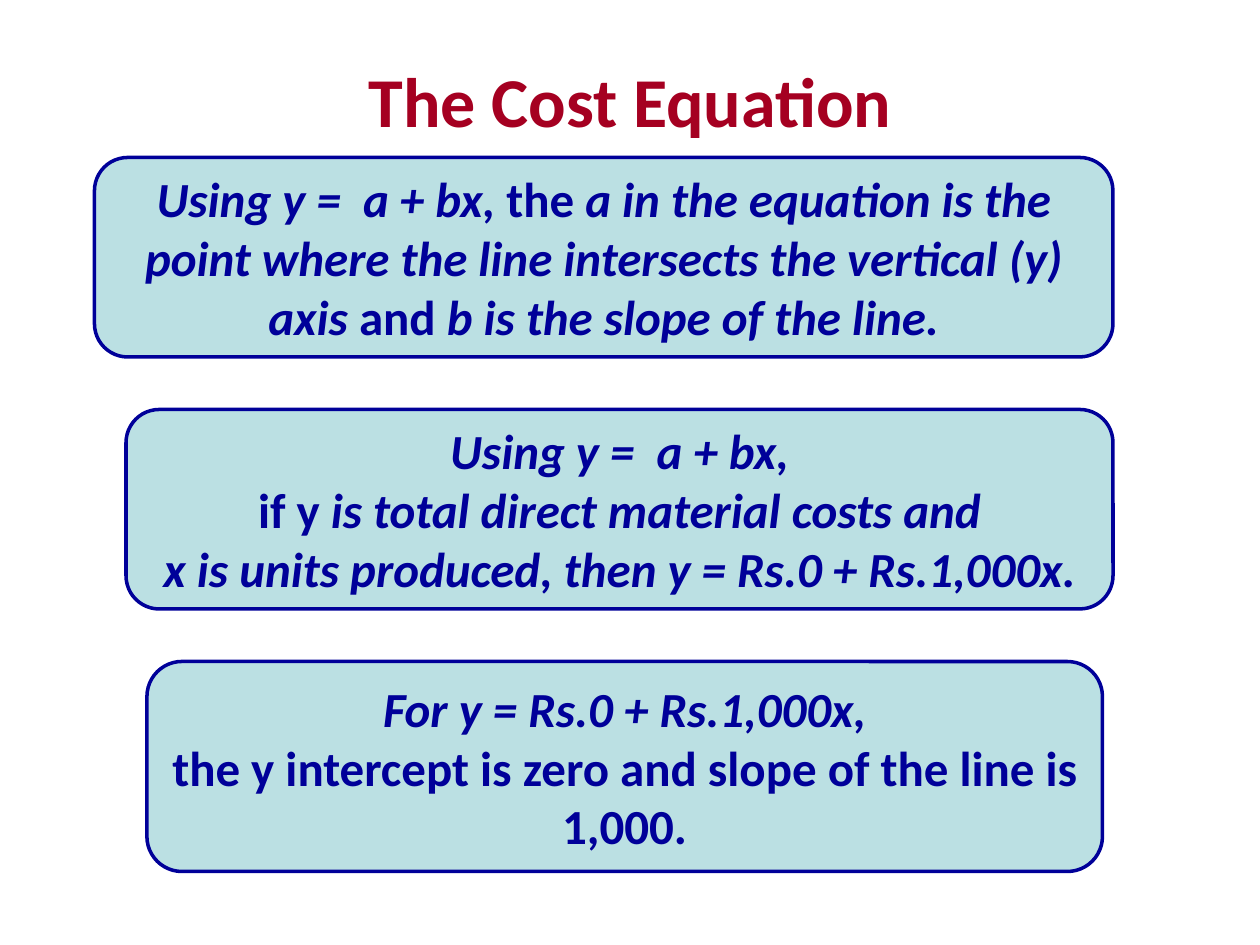
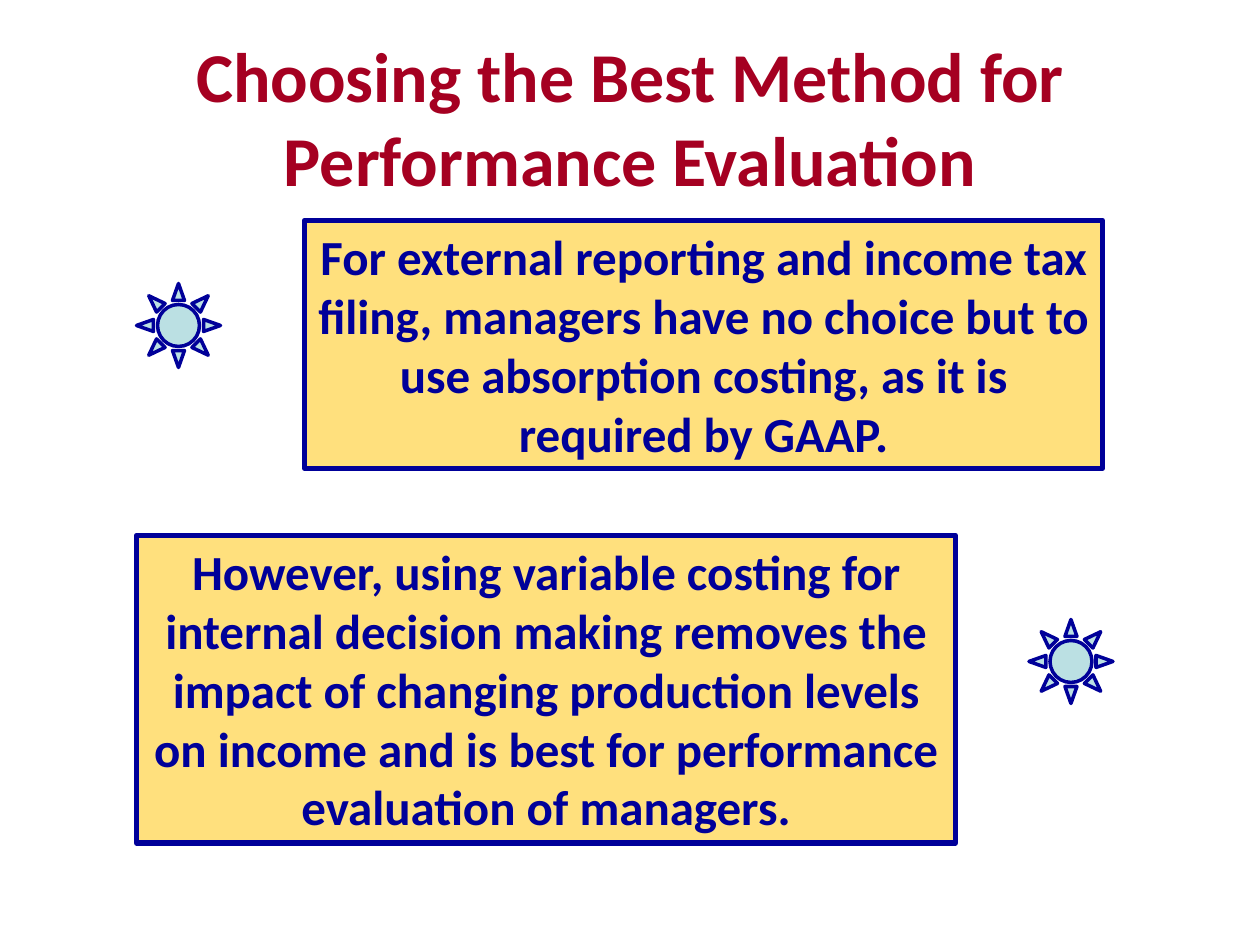
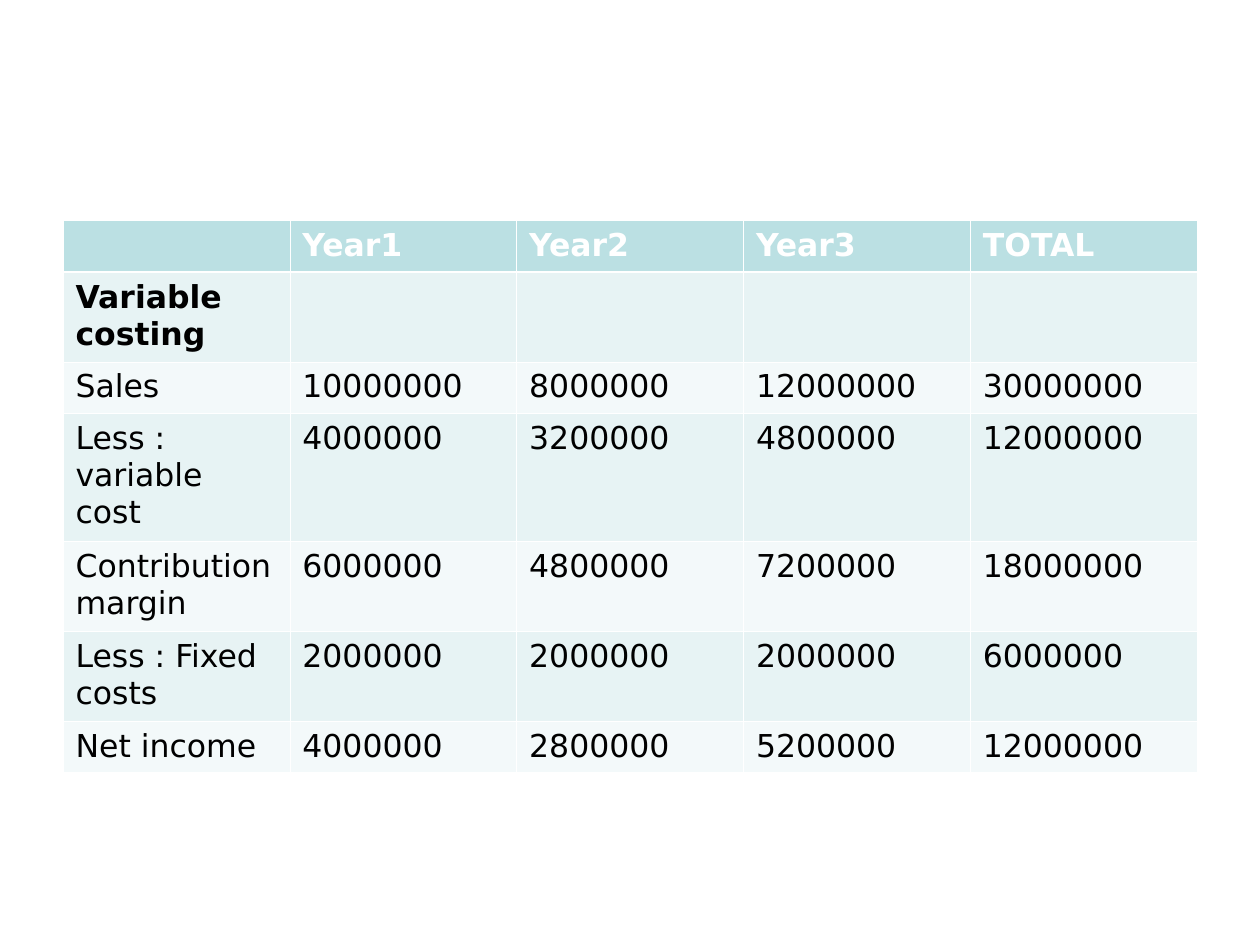
import dataclasses

import pptx
import pptx.dml.color
import pptx.enum.shapes
import pptx.enum.text
import pptx.oxml
import pptx.oxml.ns
import pptx.util

SHAPES = pptx.enum.shapes.MSO_SHAPE
ANCHORS = pptx.enum.text.MSO_ANCHOR
COLUMNS, ROWS = 120, 90


@dataclasses.dataclass(frozen=True)
class Theme:
    title: str = "A50021"
    ink: str = "000099"
    panel: str = "BBE0E3"
    note: str = "FFE07D"
    paper: str = "FFFFFF"
    cell_text: str = "000000"
    bands: tuple = ("F3F9FA", "E7F3F4")
    font: str = "Calibri"
    table_font: str = "DejaVu Sans"
    title_size: int = 40
    body_size: int = 28
    table_size: int = 18
    thin_rule: float = 0.23
    header_rule: float = 0.75


def color(value):
    return pptx.dml.color.RGBColor.from_string(value)


class SlideBuilder:
    """Holds the theme and current slide; lengths are grid columns and rows."""

    def __init__(self, deck, theme):
        self.deck, self.theme = deck, theme
        self.slide = None

    def new_slide(self):
        self.slide = self.deck.slides.add_slide(self.deck.slide_layouts[6])

    def place(self, left, top, width, height):
        column = self.deck.slide_width / COLUMNS
        row = self.deck.slide_height / ROWS
        return [round(length) for length in
                (left * column, top * row, width * column, height * row)]

    def style(self, para, size, ink, font, bold=True, italic=False):
        para.font.size = pptx.util.Pt(size)
        para.font.name = font
        para.font.bold = bold
        para.font.italic = italic
        para.font.color.rgb = color(ink)

    def fill_text(self, frame, paragraphs, size, ink):
        """Each paragraph is a list of (text, italic) spans."""
        frame.word_wrap = True
        for index, spans in enumerate(paragraphs):
            para = frame.add_paragraph() if index else frame.paragraphs[0]
            para.alignment = pptx.enum.text.PP_ALIGN.CENTER
            base_italic = spans[0][1]
            self.style(para, size, ink, self.theme.font, italic=base_italic)
            for text, italic in spans:
                span = para.add_run()
                span.text = text
                if italic != base_italic:
                    span.font.italic = italic

    def title(self, text, top, height):
        box = self.slide.shapes.add_textbox(*self.place(6, top, 108, height))
        box.text_frame.vertical_anchor = ANCHORS.MIDDLE
        self.fill_text(box.text_frame, [[(text, False)]],
                       self.theme.title_size, self.theme.title)

    def shape(self, kind, area, fill, line_width):
        shape = self.slide.shapes.add_shape(kind, *self.place(*area))
        shape.shadow.inherit = False
        shape.fill.solid()
        shape.fill.fore_color.rgb = color(fill)
        shape.line.color.rgb = color(self.theme.ink)
        shape.line.width = pptx.util.Pt(line_width)
        return shape

    def panel(self, area, paragraphs):
        panel = self.shape(SHAPES.ROUNDED_RECTANGLE, area, self.theme.panel, 2)
        panel.text_frame.vertical_anchor = ANCHORS.MIDDLE
        self.fill_text(panel.text_frame, paragraphs,
                       self.theme.body_size, self.theme.ink)

    def note(self, area, text):
        note = self.shape(SHAPES.RECTANGLE, area, self.theme.note, 3)
        frame = note.text_frame
        frame.vertical_anchor = ANCHORS.TOP
        self.fill_text(frame, [[(text, False)]],
                       self.theme.body_size, self.theme.ink)
        frame.auto_size = pptx.enum.text.MSO_AUTO_SIZE.SHAPE_TO_FIT_TEXT

    def sun(self, left, top):
        self.shape(SHAPES.SUN, (left, top, 8, 8), self.theme.panel, 2)

    def cell_borders(self, cell, row_index):
        properties = cell._tc.get_or_add_tcPr()
        header_edge = {0: "B", 1: "T"}.get(row_index)
        for side in "LRTB":
            width = (self.theme.header_rule if side == header_edge
                     else self.theme.thin_rule)
            properties.append(pptx.oxml.parse_xml(
                f'<a:ln{side} {pptx.oxml.ns.nsdecls("a")} '
                f'w="{pptx.util.Pt(width)}"><a:solidFill>'
                f'<a:srgbClr val="{self.theme.paper}"/>'
                f'</a:solidFill></a:ln{side}>'))

    def table(self, left, top, width, records, row_heights):
        area = self.place(left, top, width, sum(row_heights))
        table = self.slide.shapes.add_table(
            len(records), len(records[0]), *area).table
        for row_index, record in enumerate(records):
            table.rows[row_index].height = self.place(
                0, 0, 0, row_heights[row_index])[3]
            header = row_index == 0
            fill = self.theme.panel if header else self.theme.bands[row_index % 2]
            ink = self.theme.paper if header else self.theme.cell_text
            for column_index, value in enumerate(record):
                cell = table.cell(row_index, column_index)
                self.cell_borders(cell, row_index)
                cell.fill.solid()
                cell.fill.fore_color.rgb = color(fill)
                cell.text = str(value)
                para = cell.text_frame.paragraphs[0]
                para.line_spacing = 1.02
                self.style(para, self.theme.table_size, ink,
                           self.theme.table_font, bold=row_index < 2)


def cost_equation(builder):
    builder.new_slide()
    builder.title("The Cost Equation", 3, 13)
    builder.panel((9, 15, 97, 19), [
        [("Using y =  a + bx, ", True), ("the ", False),
         ("a in the equation is the point where the line intersects "
          "the vertical (y) axis ", True),
         ("and ", False), ("b is the slope of the line.", True)]])
    builder.panel((12, 39, 94, 19), [
        [("Using y =  a + bx,", True)],
        [("if y", False), (" is total direct material costs and", True)],
        [("x is units produced, then y = Rs.0 + Rs.1,000x.", True)]])
    builder.panel((14, 63, 91, 20), [
        [("For y = Rs.0 + Rs.1,000x,", True)],
        [("the y intercept is zero and slope of the line is 1,000.", False)]])


def best_method(builder):
    builder.new_slide()
    builder.title("Choosing the Best Method for Performance Evaluation", 3.6, 15)
    builder.note((29, 21, 76, 23.6),
                 "For external reporting and income tax filing, managers have "
                 "no choice but to use absorption costing, as it is required "
                 "by GAAP.")
    builder.note((13, 51, 78, 29.3),
                 "However, using variable costing for internal decision making "
                 "removes the impact of changing production levels on income "
                 "and is best for performance evaluation of managers.")
    builder.sun(13, 27)
    builder.sun(98, 59)


def variable_costing(builder):
    builder.new_slide()
    single, double = 4.9, 8.5
    records = [
        ("", "Year1", "Year2", "Year3", "TOTAL"),
        ("Variable costing", "", "", "", ""),
        ("Sales", 10000000, 8000000, 12000000, 30000000),
        ("Less : variable cost", 4000000, 3200000, 4800000, 12000000),
        ("Contribution margin", 6000000, 4800000, 7200000, 18000000),
        ("Less : Fixed costs", 2000000, 2000000, 2000000, 6000000),
        ("Net income", 4000000, 2800000, 5200000, 12000000),
    ]
    builder.table(6, 21, 108, records,
                  [single, double, single, double, double, double, single])


def main():
    deck = pptx.Presentation()
    deck.slide_width = pptx.util.Inches(10)
    deck.slide_height = pptx.util.Inches(7.5)
    builder = SlideBuilder(deck, Theme())
    cost_equation(builder)
    best_method(builder)
    variable_costing(builder)
    deck.save("out.pptx")


if __name__ == "__main__":
    main()
